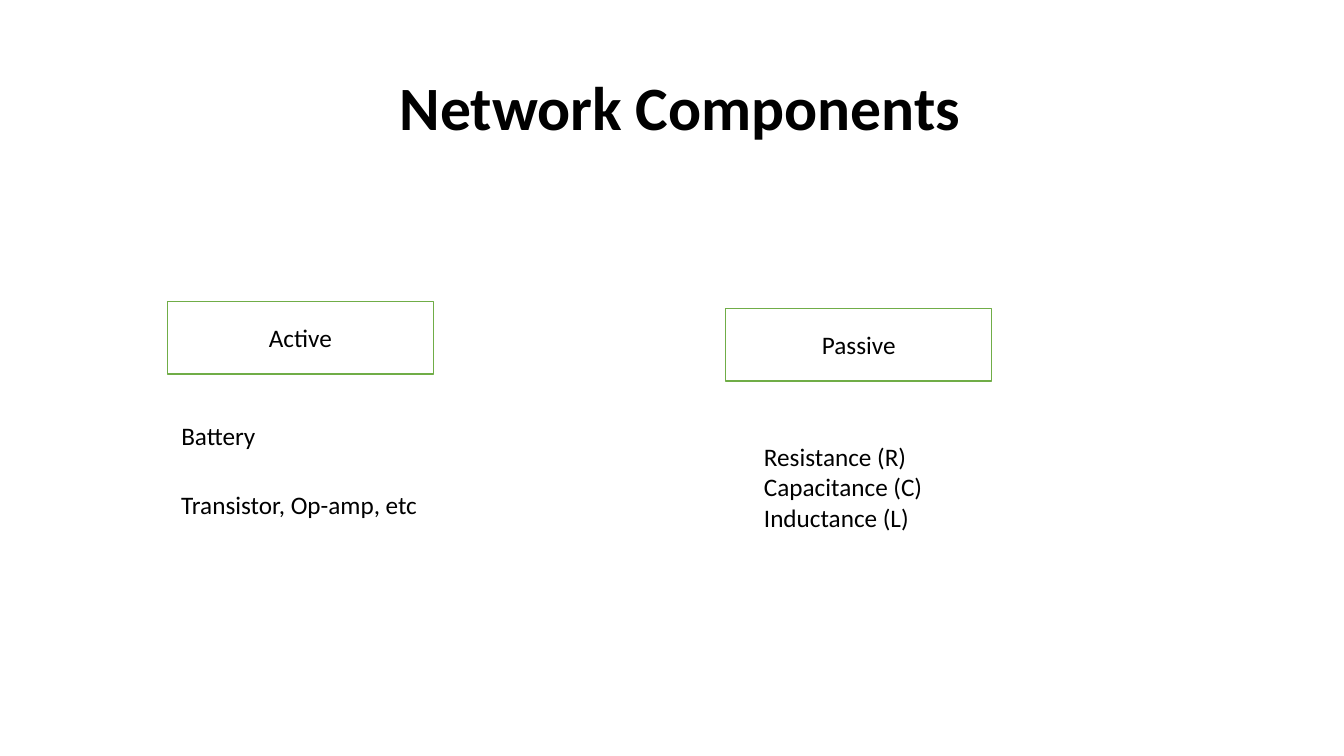
from dataclasses import dataclass

import pptx
import pptx.dml.color
import pptx.enum.shapes
import pptx.enum.text
import pptx.util

Pt = pptx.util.Pt
RGBColor = pptx.dml.color.RGBColor
PP_ALIGN = pptx.enum.text.PP_ALIGN
MSO_ANCHOR = pptx.enum.text.MSO_ANCHOR
MSO_AUTO_SIZE = pptx.enum.text.MSO_AUTO_SIZE


@dataclass(frozen=True)
class Theme:
    font: str = "Calibri"
    title_size: int = 44
    body_size: int = 18
    ink: RGBColor = RGBColor(0x00, 0x00, 0x00)
    paper: RGBColor = RGBColor(0xFF, 0xFF, 0xFF)
    border: RGBColor = RGBColor(0x70, 0xAD, 0x47)


THEME = Theme()
BOX_WIDTH, BOX_HEIGHT = 190, 51.8


def write(frame, text, size=THEME.body_size, align=PP_ALIGN.LEFT, bold=False):
    """Fill a text frame, one paragraph per line, in the theme's font."""
    frame.text = text
    for para in frame.paragraphs:
        para.alignment = align
        for span in para.runs:
            span.font.name = THEME.font
            span.font.size = Pt(size)
            span.font.bold = bold
            span.font.color.rgb = THEME.ink


def set_title(page, text):
    title = page.shapes.title
    title.left, title.top = Pt(72), Pt(26.6)
    title.width, title.height = Pt(828), Pt(104.4)
    frame = title.text_frame
    write(frame, text, THEME.title_size, PP_ALIGN.CENTER, bold=True)
    frame.auto_size = MSO_AUTO_SIZE.NONE
    frame.vertical_anchor = MSO_ANCHOR.MIDDLE
    frame.paragraphs[0].line_spacing = 0.9


def add_category(page, text, left, top):
    box = page.shapes.add_shape(
        pptx.enum.shapes.MSO_SHAPE.RECTANGLE,
        Pt(left), Pt(top), Pt(BOX_WIDTH), Pt(BOX_HEIGHT))
    box.shadow.inherit = False
    box.fill.solid()
    box.fill.fore_color.rgb = THEME.paper
    box.line.color.rgb = THEME.border
    box.line.width = Pt(1)
    box.text_frame.vertical_anchor = MSO_ANCHOR.MIDDLE
    write(box.text_frame, text, align=PP_ALIGN.CENTER)


def add_examples(page, text, left, top, width, height, wrap=False):
    box = page.shapes.add_textbox(Pt(left), Pt(top), Pt(width), Pt(height))
    frame = box.text_frame
    frame.word_wrap = wrap
    frame.auto_size = MSO_AUTO_SIZE.SHAPE_TO_FIT_TEXT
    write(frame, text)


def main():
    deck = pptx.Presentation()
    deck.slide_width, deck.slide_height = Pt(960), Pt(540)
    page = deck.slides.add_slide(deck.slide_layouts.get_by_name("Title Only"))

    set_title(page, "Network Components")
    add_category(page, "Active", 119.5, 215.3)
    add_category(page, "Passive", 518.4, 220.4)
    add_examples(page, "Battery", 122.4, 296.6, 68.4, 29)
    add_examples(page, "Transistor, Op-amp, etc", 122.4, 345.6, 185, 29)
    add_examples(page, "Resistance (R)\nCapacitance (C)\nInductance (L)",
                 538.6, 311.8, 143.3, 72.7, wrap=True)

    deck.save("out.pptx")


if __name__ == "__main__":
    main()
